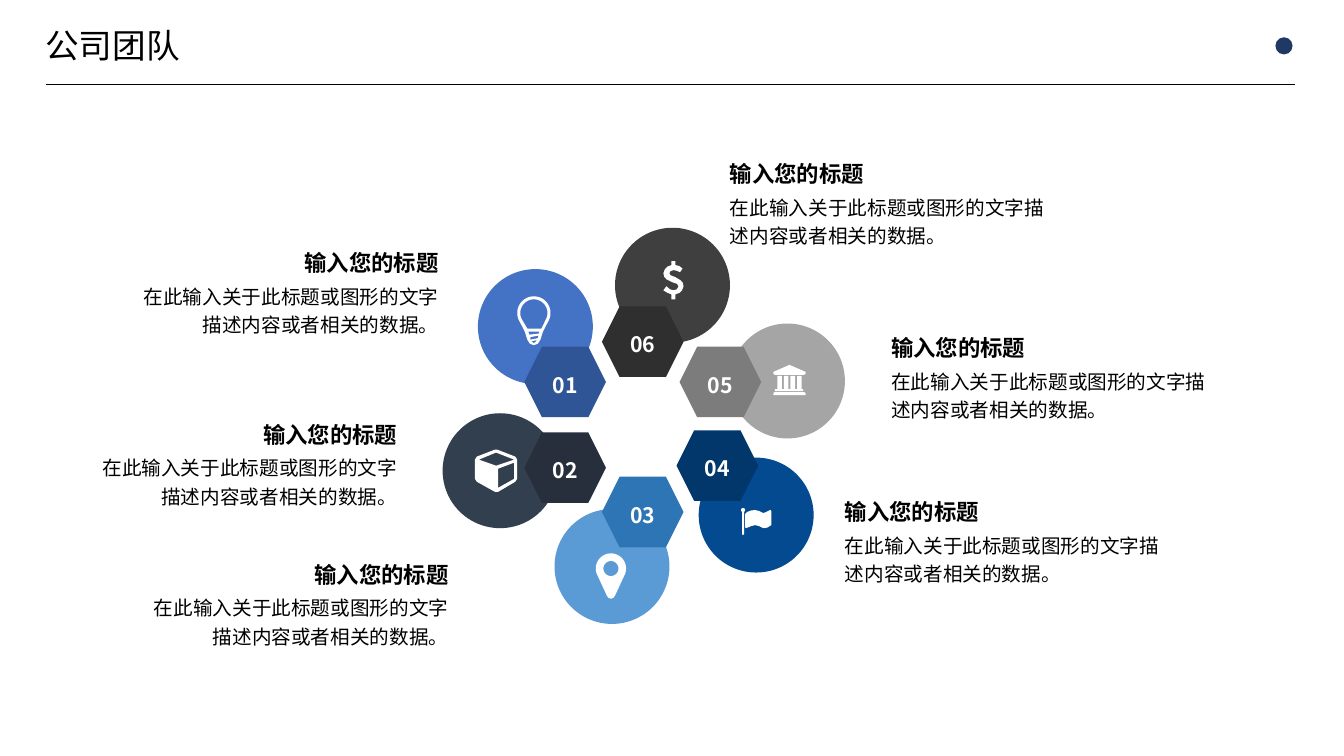
from math import cos, radians, sin

from lxml.etree import SubElement
from pptx import Presentation
from pptx.dml.color import RGBColor
from pptx.enum.shapes import MSO_CONNECTOR, MSO_SHAPE
from pptx.enum.text import MSO_ANCHOR, MSO_AUTO_SIZE, PP_ALIGN
from pptx.oxml.ns import qn
from pptx.util import Inches, Pt

FONT = "Noto Sans CJK SC"
HEADING = "输入您的标题"
BODY = "在此输入关于此标题或图形的文字描述内容或者相关的数据。"
COLORS = {
    "text": "000000", "white": "FFFFFF", "dot": "203864",
    "01": ("4472C4", "2F5597"), "02": ("323F4F", "262F3B"),
    "03": ("5B9BD5", "2E75B6"), "04": ("034A90", "02376C"),
    "05": ("A5A5A5", "7C7C7C"), "06": ("3F3F3F", "2F2F2F"),
}
CIRCLE, HEX_W, HEX_H = 1.14, 0.81, 0.7
CAPTION_W = {PP_ALIGN.LEFT: 3.27, PP_ALIGN.RIGHT: 3.01}
HEADING_W = 1.35


def arc(cx, cy, radius, start, end):
    """Return points along an arc, with angles in degrees."""
    angles = [radians(start + (end - start) * i / 32) for i in range(33)]
    return [(cx + radius * cos(a), cy + radius * sin(a)) for a in angles]


def rect(x, y, w, h):
    """Return the corners of a rectangle."""
    return [(x, y), (x + w, y), (x + w, y + h), (x, y + h)]


BULB = [
    arc(16.5, 16.5, 16.5, 155, 385) + [
        (25.5, 35), (23, 43), (20.5, 47), (16.5, 48.5), (12.5, 47), (10, 43), (7.5, 35)],
    arc(16.5, 16.5, 13.5, 155, 385) + [(24, 32), (10, 32)],
    [(11, 35), (22, 35), (21.5, 37), (12, 38)],
    [(13, 40.5), (21, 39), (20.5, 41.5), (13, 43)],
    [(14, 44.5), (20, 43.5), (16.5, 46.5)],
]
CUBE = [
    [(0, 10), (2, 7), (20, 0), (22, 0), (40, 7), (42, 10),
     (42, 29), (40, 32), (23, 42), (20, 42), (2, 32), (0, 29)],
    [(39, 10), (21, 3), (4, 10), (21, 16)],
    [(39, 29), (39, 13), (23, 19), (23, 38)],
]
PIN = [
    arc(15, 15, 15, 160, 380) + [(19, 42), (17.5, 44), (15, 45), (12.5, 44), (11, 42)],
    arc(15, 15, 7.5, 0, 360),
]
FLAG = [
    arc(2, 2, 2, 120, 420) + [(3, 26), (2, 27), (1, 26)],
    [(4, 6), (6, 4), (10, 2.5), (14, 2), (18, 3), (22, 5), (25, 4), (29, 2), (30, 3),
     (30, 17), (26, 19.5), (22, 20), (18, 18), (14, 17), (10, 18), (5, 20), (4, 19)],
]
BANK = [
    [(0, 7), (16, 0), (32, 7), (32, 9), (30, 10), (2, 10), (0, 9)],
    [(0, 30), (0, 28.5), (1, 27), (31, 27), (32, 28.5), (32, 30)],
    rect(1.5, 24, 28, 2),
] + [rect(4 + 6.5 * i, 11, 4.5, 13) for i in range(4)]
DOLLAR = [[
    (12, 33), (12, 38), (8, 38), (8, 33), (4, 31.5), (0, 29), (3, 25), (6.5, 28),
    (10, 29), (13.5, 28), (15, 25), (13.5, 22.5), (9, 21), (3, 18), (0.8, 15.5),
    (0, 12), (1.5, 8), (4, 5.5), (8, 4), (8, 0), (12, 0), (12, 4), (16, 5),
    (19, 7.5), (16.5, 11), (13, 9.5), (10, 9), (7, 10), (6, 12), (7, 14), (12, 16),
    (17, 19), (19.2, 21.5), (20, 25), (18.5, 29), (16, 31.5),
]]

MEMBERS = [
    ("01", (4.74, 2.67), (5.2, 3.44), BULB, (5.13, 2.94), (4.35, 2.42), PP_ALIGN.RIGHT),
    ("02", (4.39, 4.1), (5.2, 4.29), CUBE, (4.71, 4.46), (3.94, 4.12), PP_ALIGN.RIGHT),
    ("03", (5.5, 5.05), (5.97, 4.73), PIN, (5.91, 5.49), (4.45, 5.51), PP_ALIGN.RIGHT),
    ("04", (6.93, 4.54), (6.71, 4.27), FLAG, (7.35, 5.04), (8.38, 4.89), PP_ALIGN.LEFT),
    ("05", (7.24, 3.21), (6.74, 3.44), BANK, (7.67, 3.62), (8.84, 3.26), PP_ALIGN.LEFT),
    ("06", (6.1, 2.26), (5.97, 3.04), DOLLAR, (6.58, 2.59), (7.24, 1.54), PP_ALIGN.LEFT),
]


def write(tf, text, size, color="text", bold=False, align=PP_ALIGN.LEFT, spacing=1.2):
    """Write one formatted paragraph into a text frame."""
    p = tf.paragraphs[0]
    p.alignment, p.line_spacing = align, spacing
    r = p.add_run()
    r.text = text
    r.font.name, r.font.size, r.font.bold = FONT, Pt(size), bold
    r.font.color.rgb = RGBColor.from_string(COLORS[color])
    SubElement(r._r.get_or_add_rPr(), qn("a:ea"), typeface=FONT)


def paint(sp, color):
    """Give a shape a plain fill without line or shadow."""
    sp.shadow.inherit = False
    sp.fill.solid()
    sp.fill.fore_color.rgb = RGBColor.from_string(color)
    sp.line.fill.background()


def add_plain(s, kind, x, y, w, h, color):
    """Add a filled preset shape."""
    sp = s.shapes.add_shape(kind, Inches(x), Inches(y), Inches(w), Inches(h))
    paint(sp, color)
    return sp


def add_icon(s, x, y, contours):
    """Draw white contours, given in hundredths of an inch, from a corner."""
    fb = None
    for contour in contours:
        pts = [(Inches(x + px / 100), Inches(y + py / 100)) for px, py in contour]
        if fb is None:
            fb = s.shapes.build_freeform(*pts[0])
        else:
            fb.move_to(*pts[0])
        fb.add_line_segments(pts[1:], close=True)
    paint(fb.convert_to_shape(), COLORS["white"])


def add_caption(s, edge, top, align):
    """Set a heading and its body against one vertical edge."""
    parts = [(HEADING, 16, True, HEADING_W, 0, 0.28),
             (BODY, 14, False, CAPTION_W[align], 0.36, 0.53)]
    for text, size, bold, w, dy, h in parts:
        left = edge - w if align == PP_ALIGN.RIGHT else edge
        tf = s.shapes.add_textbox(Inches(left), Inches(top + dy), Inches(w), Inches(h)).text_frame
        tf.margin_left = tf.margin_right = tf.margin_top = tf.margin_bottom = 0
        tf.word_wrap = not bold
        tf.auto_size = MSO_AUTO_SIZE.SHAPE_TO_FIT_TEXT
        write(tf, text, size, bold=bold, align=align)


def add_member(s, number, circle, hexagon, icon, icon_at, caption, align):
    """Place one numbered member of the ring with its caption."""
    light, dark = COLORS[number]
    add_plain(s, MSO_SHAPE.OVAL, *circle, CIRCLE, CIRCLE, light)
    sp = add_plain(s, MSO_SHAPE.HEXAGON, *hexagon, HEX_W, HEX_H, dark)
    tf = sp.text_frame
    tf.vertical_anchor = MSO_ANCHOR.MIDDLE
    write(tf, number, 15.2, color="white", bold=True, align=PP_ALIGN.CENTER)
    add_icon(s, *icon_at, icon)
    add_caption(s, *caption, align)


def add_header(s, x, y, w):
    """Place the title, the rule below it and the dot at its right end."""
    title = s.shapes.title
    title.left, title.top = Inches(x - 0.11), Inches(y)
    title.width, title.height = Inches(6.5), Inches(0.5)
    title.text_frame.vertical_anchor = MSO_ANCHOR.TOP
    write(title.text_frame, "公司团队", 24, spacing=1)
    rule_y = Inches(y + 0.64)
    rule = s.shapes.add_connector(
        MSO_CONNECTOR.STRAIGHT, Inches(x), rule_y, Inches(x + w), rule_y)
    rule.line.color.rgb = RGBColor.from_string(COLORS["text"])
    rule.line.width = Pt(0.5)
    SubElement(rule._element.spPr, qn("a:effectLst"))
    add_plain(s, MSO_SHAPE.OVAL, x + w - 0.19, y + 0.17, 0.17, 0.17, COLORS["dot"])


def main():
    """Build the team slide and save it."""
    prs = Presentation()
    prs.slide_width, prs.slide_height = Inches(13.33), Inches(7.5)
    s = prs.slides.add_slide(prs.slide_layouts[5])
    add_header(s, 0.46, 0.2, 12.38)
    for member in MEMBERS:
        add_member(s, *member)
    prs.save("out.pptx")


if __name__ == "__main__":
    main()
